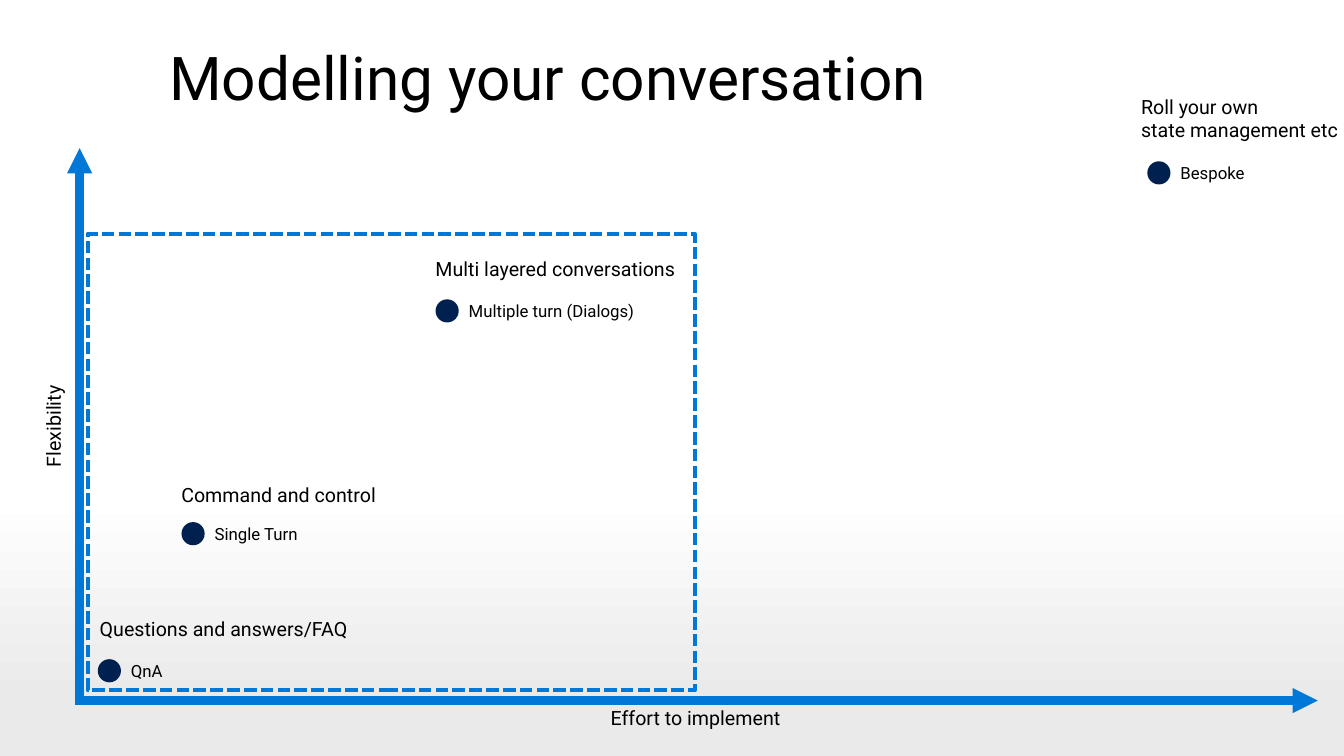
from lxml.etree import SubElement
from pptx import Presentation
from pptx.dml.color import RGBColor as RGB
from pptx.enum.dml import MSO_LINE as Dash
from pptx.enum.shapes import MSO_CONNECTOR as Link, MSO_SHAPE as Form
from pptx.enum.text import MSO_ANCHOR as Anchor, PP_ALIGN as Align
from pptx.oxml.ns import qn
from pptx.util import Inches, Pt

BLUE = RGB(0x00, 0x78, 0xD7)
NAVY = RGB(0x00, 0x20, 0x50)
BLACK = RGB(0, 0, 0)
WHITE = RGB(255, 255, 255)
GREY = RGB(0xEA, 0xEA, 0xEA)
FONT = "Roboto"
WIDE, HIGH = Inches(13.33), Inches(7.5)
DOT = Inches(0.23)

TITLE = "Modelling your conversation"
TURNS = [
    ("QnA", (8.14, 88.73), "Questions and answers/FAQ", (6.68, 80.93)),
    ("Single Turn", (14.37, 70.6), "Command and control", (12.75, 63.2)),
    ("Multiple turn (Dialogs)", (33.27, 41.13),
     "Multi layered conversations", (31.66, 33.33)),
    ("Bespoke", (86.23, 22.87),
     "Roll your own\nstate management etc", (84.17, 11.87)),
]
AXES = [((5.93, 93.2), (5.93, 19.6)), ((5.55, 92.67), (98.05, 92.67))]
NAMES = [
    ("Flexibility", (0.08, 54.13, 7.8, 4.53), 270),
    ("Effort to implement", (5.55, 92.67, 92.42, 4.53), 0),
]
FLOOR = (0, 58, 100, 42)
FRAME = (6.53, 30.93, 45.16, 60.4)


def place(*parts):
    """Turn percentages of the slide into lengths, x and y in turn."""
    return [int(p * (HIGH if i % 2 else WIDE) / 100)
            for i, p in enumerate(parts)]


def write(slide, text, box, size=14, align=Align.LEFT, anchor=Anchor.TOP,
          turn=0, wrap=False, pitch=None, edge=Inches(0.1)):
    """Add a text box with one paragraph per line."""
    shape = slide.shapes.add_textbox(*box)
    shape.rotation = turn
    frame = shape.text_frame
    frame.word_wrap = wrap
    frame.vertical_anchor = anchor
    frame.margin_right = edge
    frame.text = text
    for para in frame.paragraphs:
        para.alignment = align
        para.line_spacing = pitch
        font = para.runs[0].font
        font.name, font.size = FONT, Pt(size)
        font.color.rgb = BLACK


def draw(slide, form, box):
    """Add a flat shape without an outline."""
    shape = slide.shapes.add_shape(form, *box)
    shape.shadow.inherit = False
    shape.line.fill.background()
    return shape


def shade(slide):
    """Fade the lower part of the slide from white to grey."""
    fill = draw(slide, Form.RECTANGLE, place(*FLOOR)).fill
    fill.gradient()
    fill.gradient_angle = 270
    for stop, tone, share in zip(fill.gradient_stops, (WHITE, GREY), (0.18, 0.82)):
        stop.color.rgb = tone
        stop.position = share


def arrow(slide, start, end):
    """Add a thick axis with an arrowhead at its end."""
    axis = slide.shapes.add_connector(Link.STRAIGHT, *place(*start, *end))
    axis.line.color.rgb = BLUE
    axis.line.width = Pt(6)
    SubElement(axis.line._get_or_add_ln(), qn("a:tailEnd"), type="triangle")
    SubElement(axis._element.spPr, qn("a:effectLst"))


def outline(slide):
    """Add the dashed frame."""
    frame = draw(slide, Form.RECTANGLE, place(*FRAME))
    frame.fill.background()
    frame.line.color.rgb = BLUE
    frame.line.width = Pt(3)
    frame.line.dash_style = Dash.SQUARE_DOT


def mark(slide, name, spot, note, corner):
    """Add a dot with its name beside it and its note above."""
    x, y = place(*spot)
    dot = draw(slide, Form.OVAL, (x - DOT // 2, y - DOT // 2, DOT, DOT))
    dot.fill.solid()
    dot.fill.fore_color.rgb = NAVY
    tall = Inches(0.3)
    write(slide, name, (x + DOT // 2, y - tall // 2, Inches(1.96), tall), size=12)
    span = min(30, 100 - corner[0])
    rows = len(note.splitlines())
    write(slide, note, place(*corner, span, 4.53 * rows), edge=0)


def main():
    """Build the slide and save it."""
    deck = Presentation()
    deck.slide_width, deck.slide_height = WIDE, HIGH
    slide = deck.slides.add_slide(deck.slide_layouts[6])
    shade(slide)
    write(slide, TITLE, place(11.85, 4.13, 88.15, 13.07), size=43.1,
          anchor=Anchor.MIDDLE, wrap=True, pitch=0.9)
    for start, end in AXES:
        arrow(slide, start, end)
    for name, box, turn in NAMES:
        write(slide, name, place(*box), align=Align.CENTER, turn=turn)
    outline(slide)
    for turn in TURNS:
        mark(slide, *turn)
    deck.save("out.pptx")


if __name__ == "__main__":
    main()
